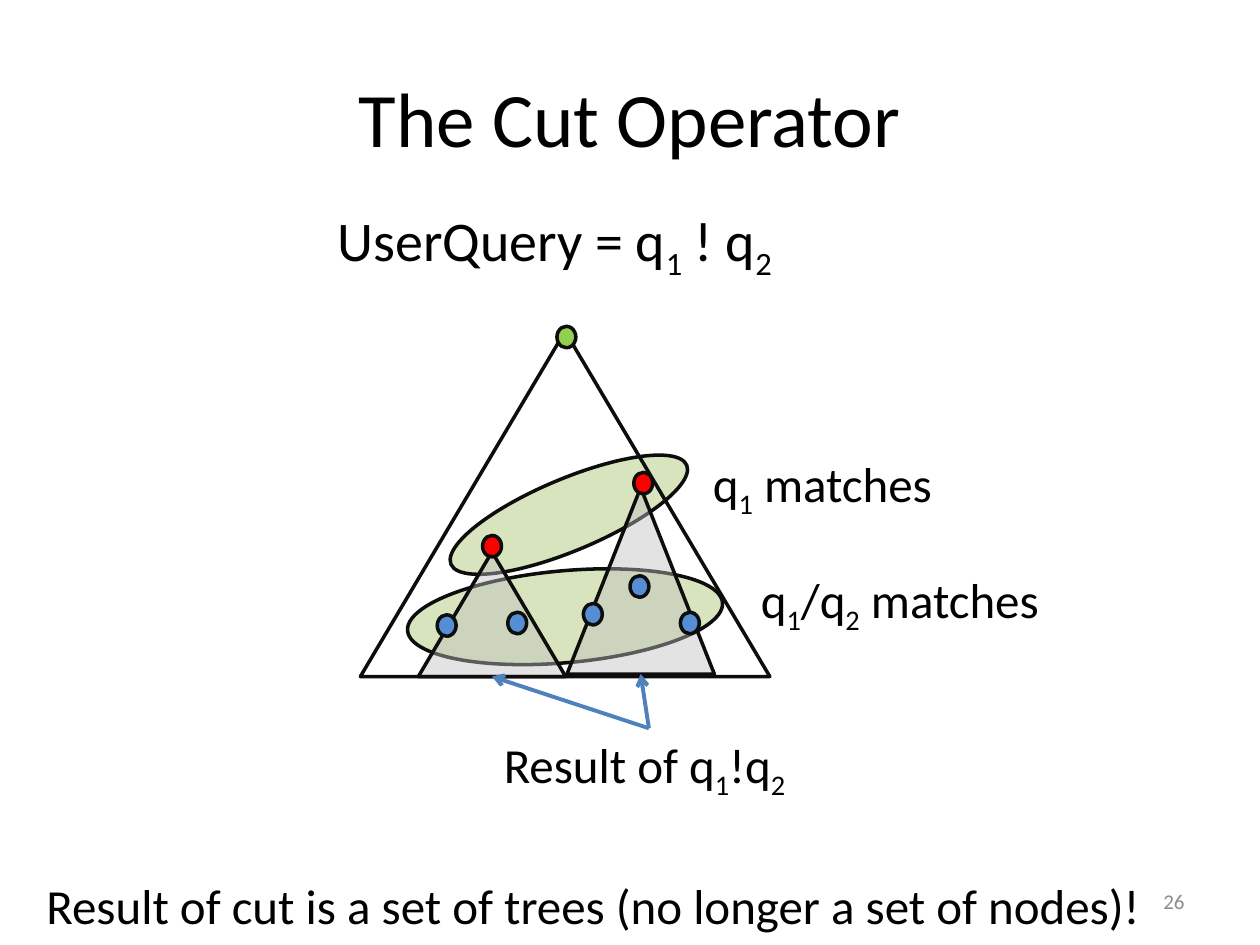
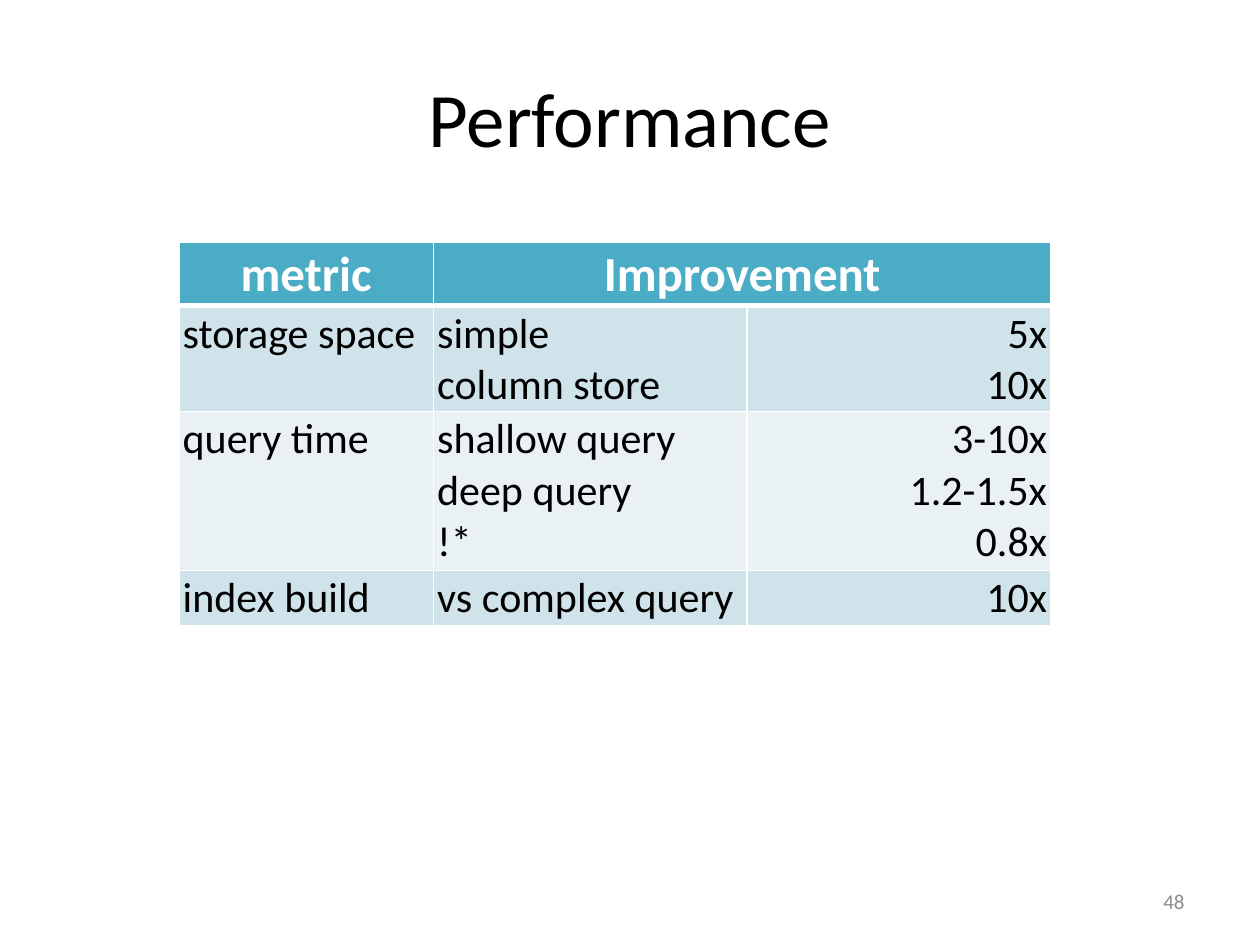
from dataclasses import dataclass

from lxml.etree import SubElement
from pptx import Presentation
from pptx.dml.color import RGBColor
from pptx.enum.shapes import MSO_CONNECTOR as Connector, MSO_SHAPE as Shape
from pptx.enum.text import MSO_ANCHOR as Anchor, MSO_AUTO_SIZE as AutoSize, PP_ALIGN as Align
from pptx.oxml.ns import qn
from pptx.util import Inches, Pt

FONT = "Calibri"
UNIT = 0.1
BLACK = RGBColor(0x00, 0x00, 0x00)
WHITE = RGBColor(0xFF, 0xFF, 0xFF)
NUMBER_GRAY = RGBColor(0x8C, 0x8C, 0x8C)
OUTLINE = RGBColor(0x0D, 0x0D, 0x0D)
MATCH_GREEN = RGBColor(0xD7, 0xE4, 0xBD)
SUBTREE_GRAY = RGBColor(0xC0, 0xC0, 0xC0)
ROOT_GREEN = RGBColor(0x92, 0xD0, 0x50)
NODE_RED = RGBColor(0xFF, 0x00, 0x00)
NODE_BLUE = RGBColor(0x55, 0x8E, 0xD5)
ARROW_BLUE = RGBColor(0x4F, 0x81, 0xBD)
HEADER_TEAL = RGBColor(0x4B, 0xAC, 0xC6)
BANDS = RGBColor(0xD0, 0xE3, 0xEA), RGBColor(0xE9, 0xF1, 0xF5)


def grid(units):
    """Turn grid columns or rows into a length."""
    return Inches(units * UNIT)


@dataclass
class Box:
    """An area measured in columns and rows of the page grid."""

    col: float
    row: float
    cols: float
    rows: float

    def inner(self, col, row, cols, rows):
        """Return an area placed relative to this one."""
        return Box(self.col + col, self.row + row, cols, rows)

    def lengths(self):
        """Return left, top, width and height."""
        return [grid(value) for value in (self.col, self.row, self.cols, self.rows)]


PAGE = Box(0, 0, 100, 75)
TITLE = PAGE.inner(5, 3, 90, 12.5)
NUMBER = PAGE.inner(71.7, 69.5, 23.3, 4)


def write(frame, text, size=28, color=BLACK, bold=False, align=Align.LEFT):
    """Fill a frame line by line; an underscore lowers the next character."""
    for index, line in enumerate(text.split("\n")):
        para = frame.add_paragraph() if index else frame.paragraphs[0]
        para.alignment = align
        first, *rest = line.split("_")
        pieces = [(first, False)]
        for part in rest:
            pieces += [(part[0], True), (part[1:], False)]
        for piece, lowered in pieces:
            if not piece:
                continue
            span = para.add_run()
            span.text = piece
            span.font.name, span.font.size, span.font.bold = FONT, Pt(size), bold
            span.font.color.rgb = color
            if lowered:
                span.font._element.set("baseline", "-25000")


def add_text(page, box, text, **style):
    """Place wrapped, vertically centred text."""
    shape = page.shapes.add_textbox(*box.lengths())
    shape.text_frame.word_wrap = True
    shape.text_frame.vertical_anchor = Anchor.MIDDLE
    write(shape.text_frame, text, **style)


def add_label(page, box, text, **style):
    """Place a one-line label that grows with its text."""
    label = page.shapes.add_textbox(*box.lengths())
    label.text_frame.word_wrap = False
    label.text_frame.auto_size = AutoSize.SHAPE_TO_FIT_TEXT
    write(label.text_frame, text, **style)
    return label


def add_figure(page, kind, box, color=None, opacity=100, rotation=0):
    """Draw an outlined shape, hollow when it has no colour."""
    figure = page.shapes.add_shape(kind, *box.lengths())
    figure.shadow.inherit = False
    figure.rotation = rotation
    figure.line.color.rgb = OUTLINE
    figure.line.width = Pt(2)
    if color is None:
        figure.fill.background()
        return
    figure.fill.solid()
    figure.fill.fore_color.rgb = color
    if opacity < 100:
        tint = figure._element.spPr.find(qn("a:solidFill"))[0]
        SubElement(tint, qn("a:alpha"), val=str(opacity * 1000))


def add_arrow(page, source, target):
    """Point an arrow from the top of a label to the middle of a box's base."""
    end = grid(target.col + target.cols / 2), grid(target.row + target.rows)
    arrow = page.shapes.add_connector(Connector.STRAIGHT, 0, 0, *end)
    arrow.begin_connect(source, 0)
    arrow.line.color.rgb = ARROW_BLUE
    arrow.line.width = Pt(2.25)
    SubElement(arrow.line._get_or_add_ln(), qn("a:tailEnd"), type="arrow")
    SubElement(arrow._element.spPr, qn("a:effectLst"))


def add_page(deck, title, number):
    """Start a page with its title and number."""
    page = deck.slides.add_slide(deck.slide_layouts[6])
    add_text(page, TITLE, title, size=44, align=Align.CENTER)
    add_text(page, NUMBER, number, size=12, color=NUMBER_GRAY, align=Align.RIGHT)
    return page


def draw_tree(page, box):
    """Draw the tree with its matches and return the two result subtrees."""
    add_figure(page, Shape.OVAL, box.inner(3.7, 19, 25.1, 7.3), MATCH_GREEN, rotation=354.9)
    add_figure(page, Shape.OVAL, box.inner(6.4, 11.7, 20.3, 5.7), MATCH_GREEN, rotation=337.2)
    add_figure(page, Shape.ISOSCELES_TRIANGLE, box)
    subtrees = box.inner(16.4, 12.4, 11.7, 14.8), box.inner(4.6, 17.5, 11.7, 9.9)
    for subtree in subtrees:
        add_figure(page, Shape.ISOSCELES_TRIANGLE, subtree, SUBTREE_GRAY, opacity=44)
    nodes = {
        ROOT_GREEN: [(15.6, -0.4)],
        NODE_RED: [(21.7, 11.2), (9.7, 16.2)],
        NODE_BLUE: [(6.1, 22.5), (11.7, 22.3), (17.7, 21.6), (21.4, 19.4), (25.4, 22.3)],
    }
    for color, places in nodes.items():
        for col, row in places:
            add_figure(page, Shape.OVAL, box.inner(col, row, 1.5, 1.7), color)
    return subtrees


def add_cut_page(deck):
    """Build the page on the cut operator."""
    page = add_page(deck, "The Cut Operator", "26")
    tree = PAGE.inner(28.6, 26.3, 32.5, 27.4)
    subtrees = draw_tree(page, tree)
    add_label(page, tree.inner(27, 9.2, 19.8, 5.7), "q_1 matches")
    add_label(page, tree.inner(30.8, 18.4, 25.4, 5.7), "q_1/q_2 matches")
    result = add_label(page, tree.inner(10.4, 31.5, 25, 5.7), "Result of q_1!q_2")
    for subtree in subtrees:
        add_arrow(page, result, subtree)
    add_label(page, PAGE.inner(25.8, 15.8, 37.2, 6.4), "UserQuery = q_1 ! q_2", size=32)
    add_label(page, PAGE.inner(2.7, 69, 89.8, 5.7),
              "Result of cut is a set of trees (no longer a set of nodes)!")


def style_cell(cell, color, top, bottom):
    """Set a cell's margins, white borders and fill."""
    cell.margin_left = cell.margin_right = Inches(0.03)
    cell.margin_top = cell.margin_bottom = Inches(0.02)
    properties = cell._tc.get_or_add_tcPr()
    for side, width in {"L": 1, "R": 1, "T": top, "B": bottom}.items():
        border = SubElement(properties, qn(f"a:ln{side}"), w=str(Pt(width)))
        SubElement(SubElement(border, qn("a:solidFill")), qn("a:srgbClr"), val=str(WHITE))
    cell.fill.solid()
    cell.fill.fore_color.rgb = color


def add_metrics(page, box):
    """Place the table of metrics and improvements."""
    rows = [
        ("metric", "Improvement", ""),
        ("storage space", "simple\ncolumn store", "5x\n10x"),
        ("query time", "shallow query\ndeep query\n!*", "3-10x\n1.2-1.5x\n0.8x"),
        ("index build", "vs complex query", "10x"),
    ]
    table = page.shapes.add_table(len(rows), 3, *box.lengths()).table
    for column, cols in zip(table.columns, (20.2, 24.9, 24.1)):
        column.width = grid(cols)
    for row, height in zip(table.rows, (5, 8.4, 12.6, 4.4)):
        row.height = grid(height)
    for row, texts in enumerate(rows):
        header = row == 0
        color = HEADER_TEAL if header else BANDS[(row - 1) % 2]
        for col, text in enumerate(texts):
            cell = table.cell(row, col)
            style_cell(cell, color, top=3 if row == 1 else 1, bottom=3 if header else 1)
            if header:
                write(cell.text_frame, text, color=WHITE, bold=True, align=Align.CENTER)
            else:
                align = Align.RIGHT if col == 2 else Align.LEFT
                write(cell.text_frame, text, size=24, align=align)
    table.cell(0, 1).merge(table.cell(0, 2))


def add_performance_page(deck):
    """Build the page on performance."""
    page = add_page(deck, "Performance", "48")
    add_metrics(page, PAGE.inner(14.2, 19.2, 69.2, 30.4))


def main():
    """Build and save the deck."""
    deck = Presentation()
    deck.slide_width, deck.slide_height = grid(PAGE.cols), grid(PAGE.rows)
    add_cut_page(deck)
    add_performance_page(deck)
    deck.save("out.pptx")


if __name__ == "__main__":
    main()
